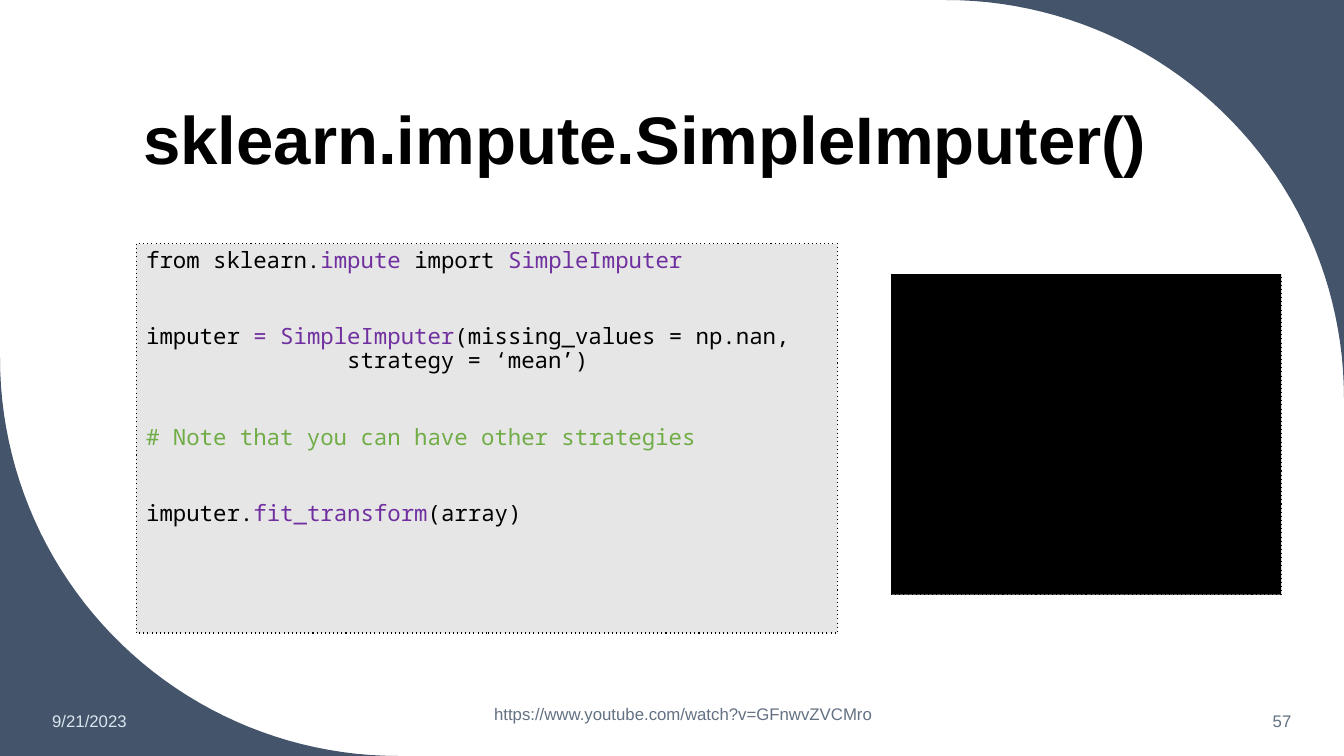
"""Build the SimpleImputer code slide."""
from math import cos, radians, sin

from pptx import Presentation
from pptx.dml.color import RGBColor
from pptx.enum.dml import MSO_LINE
from pptx.enum.shapes import MSO_SHAPE
from pptx.enum.text import MSO_ANCHOR as Anchor, MSO_AUTO_SIZE, PP_ALIGN as Align
from pptx.oxml.ns import qn
from pptx.oxml.xmlchemy import OxmlElement
from pptx.util import Pt

BLACK = RGBColor(0x00, 0x00, 0x00)
NAVY = RGBColor(0x44, 0x54, 0x6A)
PALE_BLUE = RGBColor(0xDA, 0xE5, 0xEF)
SLATE = RGBColor(0x63, 0x71, 0x83)
CODE_GRAY = RGBColor(0xE7, 0xE6, 0xE6)
PURPLE = RGBColor(0x70, 0x30, 0xA0)
GREEN = RGBColor(0x70, 0xAD, 0x47)

WIDTH, HEIGHT, RADIUS = 960, 540, 284.4
HEADING_FONT, CODE_FONT = "Arial", "Noto Sans Mono"

CODE = [
    [("from sklearn.", BLACK), ("impute", PURPLE), (" import ", BLACK),
     ("SimpleImputer", PURPLE)],
    [("imputer ", BLACK), ("= SimpleImputer", PURPLE),
     ("(missing_values = np.nan,\v               strategy = ‘mean’)", BLACK)],
    [("# Note that you can have other strategies", GREEN)],
    [("imputer.", BLACK), ("fit_transform", PURPLE), ("(array)", BLACK)],
]

FOOTERS = [
    ("9/21/2023", (30.2, 500.4, 133.9, 28.8), Align.LEFT, PALE_BLUE),
    ("https://www.youtube.com/watch?v=GFnwvZVCMro", (267.1, 495.4, 442, 28.8),
     Align.CENTER, SLATE),
    ("57", (799.2, 500.4, 130.3, 28.8), Align.RIGHT, SLATE),
]


def place(shape, box):
    shape.left, shape.top, shape.width, shape.height = map(Pt, box)


def set_font(font, name, size, color=None, bold=False):
    font.name, font.size, font.bold = name, Pt(size), bold
    if color is not None:
        font.color.rgb = color


def set_frame(frame, anchor):
    frame.word_wrap = True
    frame.auto_size = MSO_AUTO_SIZE.NONE
    frame.vertical_anchor = anchor


def add_corner(slide, corner, center, start_angle):
    """Fill the area between a slide corner and a quarter circle."""
    arc = [(Pt(center[0] + RADIUS * cos(radians(start_angle + step))),
            Pt(center[1] + RADIUS * sin(radians(start_angle + step))))
           for step in range(0, 91, 2)]
    outline = slide.shapes.build_freeform(*map(Pt, corner))
    outline.add_line_segments(arc, close=True)
    corner_shape = outline.convert_to_shape()
    corner_shape.shadow.inherit = False
    corner_shape.fill.solid()
    corner_shape.fill.fore_color.rgb = NAVY
    corner_shape.line.fill.background()


def style_panel(panel, color):
    panel.fill.solid()
    panel.fill.fore_color.rgb = color
    panel.line.color.rgb = BLACK
    panel.line.width = Pt(0.75)
    panel.line.dash_style = MSO_LINE.ROUND_DOT
    panel.element.spPr.find(qn("a:ln")).find(qn("a:prstDash")).set("val", "dot")


def fill_title(title):
    place(title, (95, 27.4, 769.7, 104.4))
    set_frame(title.text_frame, Anchor.BOTTOM)
    title.text_frame.text = "sklearn.impute.SimpleImputer()"
    heading = title.text_frame.paragraphs[0]
    heading.alignment = Align.LEFT
    heading.line_spacing = 0.9
    set_font(heading.font, HEADING_FONT, 48, BLACK, bold=True)


def add_code_line(paragraph, pieces, space_before):
    properties = paragraph._p.get_or_add_pPr()
    properties.set("marL", "0")
    properties.set("indent", "0")
    properties.append(OxmlElement("a:buNone"))
    paragraph.line_spacing = 0.9
    paragraph.space_before = Pt(space_before)
    set_font(paragraph.font, CODE_FONT, 16)
    for text, color in pieces:
        for index, part in enumerate(text.split("\v")):
            if index:
                paragraph.add_line_break()
            run = paragraph.add_run()
            run.text = part
            run.font.color.rgb = color


def fill_code(body):
    place(body, (97.2, 174.2, 501.1, 278))
    style_panel(body, CODE_GRAY)
    frame = body.text_frame
    set_frame(frame, Anchor.TOP)
    for index, pieces in enumerate(CODE):
        paragraph = frame.add_paragraph() if index else frame.paragraphs[0]
        add_code_line(paragraph, pieces, 37.3 if index else 0)


def add_output_panel(slide):
    panel = slide.shapes.add_shape(
        MSO_SHAPE.RECTANGLE, *map(Pt, (636.5, 195.8, 278.6, 229)))
    panel.shadow.inherit = False
    style_panel(panel, BLACK)


def add_footer(slide, text, box, alignment, color):
    frame = slide.shapes.add_textbox(*map(Pt, box)).text_frame
    set_frame(frame, Anchor.MIDDLE)
    frame.text = text
    footer = frame.paragraphs[0]
    footer.alignment = alignment
    set_font(footer.font, HEADING_FONT, 12, color)


def main():
    deck = Presentation()
    deck.slide_width, deck.slide_height = Pt(WIDTH), Pt(HEIGHT)
    slide = deck.slides.add_slide(deck.slide_layouts[1])
    add_corner(slide, (WIDTH, 0), (WIDTH - RADIUS, RADIUS), 270)
    add_corner(slide, (0, HEIGHT), (RADIUS, HEIGHT - RADIUS), 90)
    fill_title(slide.shapes.title)
    fill_code(slide.placeholders[1])
    add_output_panel(slide)
    for footer in FOOTERS:
        add_footer(slide, *footer)
    deck.save("out.pptx")


if __name__ == "__main__":
    main()
